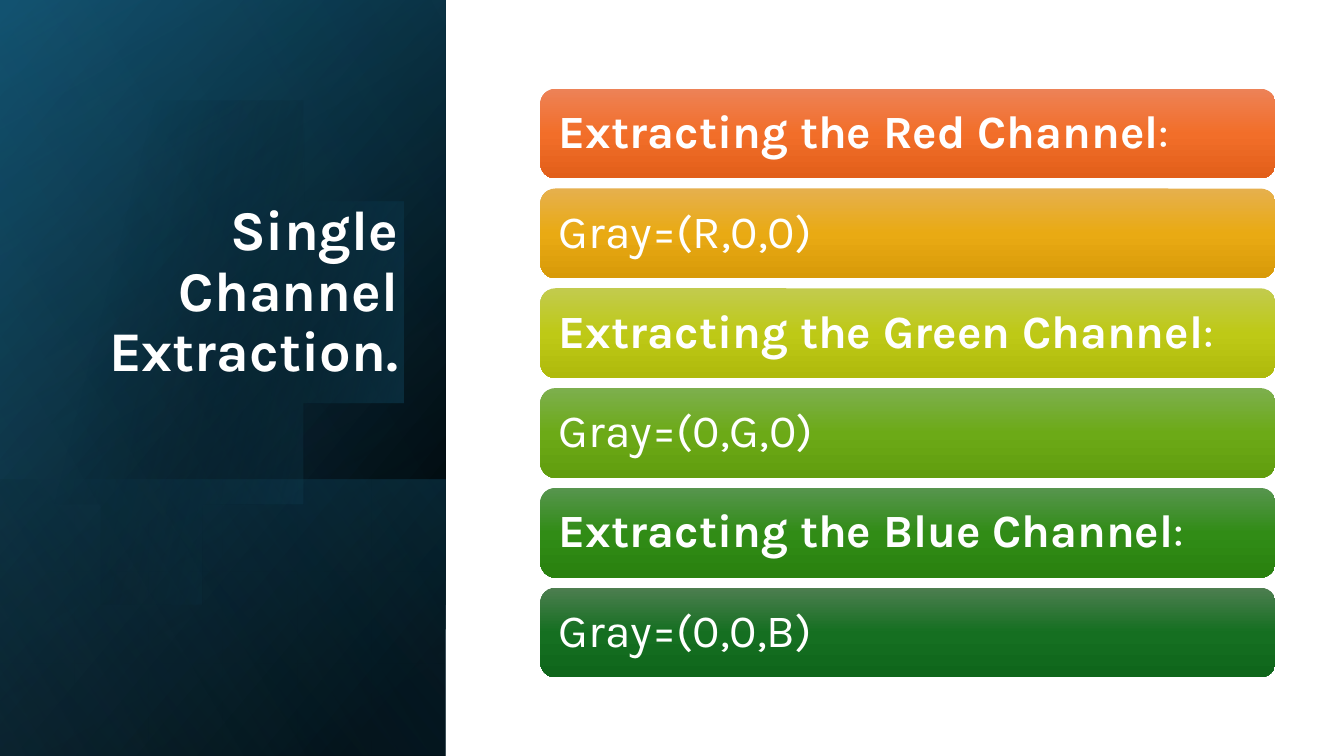
import math

import lxml.etree
import pptx
import pptx.dml.color
import pptx.enum.shapes
import pptx.enum.text
import pptx.oxml.ns
import pptx.util

W, H = 13.33, 7.5
PANEL_W = 4.42
FONT = "Karla"
WHITE = "FFFFFF"
TITLE = "Single Channel Extraction."

# Gradient stops are (position %, colour, opacity %)
BASE = [(8, "000000", 100), (100, "104862", 100)], 50
TINT = [(0, "000000", 0), (99, "156082", 46)], 30
FOOT = [(2, "156082", 29), (100, "000000", 30)], 130
DISC = [(29, "000000", 0), (100, "156082", 43)], 14
GLOW = [(0, "000000", 0), (99, "46B1E1", 11)], 120

# (bold text, regular text, top / middle / bottom colours)
BARS = [
    ("Extracting the Red Channel", ":", ("ED8257", "F26E29", "E25F1A")),
    ("", "Gray=(R,0,0)", ("E6B04E", "E9AA13", "D89A09")),
    ("Extracting the Green Channel", ":", ("C2CB4E", "BEC916", "AFBA0C")),
    ("", "Gray=(0,G,0)", ("7DAF4E", "6CAA17", "619D0E")),
    ("Extracting the Blue Channel", ":", ("57954E", "318C16", "29810F")),
    ("", "Gray=(0,0,B)", ("4D7E50", "156F21", "0F661B")),
]
BAR_X, BAR_Y, BAR_W, BAR_H = 5.36, 0.88, 7.29, 0.89
BAR_PITCH = 0.99

DISC_X, DISC_Y, DISC_R = 1.44, 3.37, 2.28

inch = pptx.util.Inches
SHAPE = pptx.enum.shapes.MSO_SHAPE
ANCHOR = pptx.enum.text.MSO_ANCHOR
ALIGN = pptx.enum.text.PP_ALIGN


def color(hex_code):
    return pptx.dml.color.RGBColor.from_string(hex_code)


def paint(s, stops, angle):
    """Give a shape a linear gradient (angle clockwise), no line, no shadow."""
    s.shadow.inherit = False
    s.line.fill.background()
    s.fill.background()
    qn = pptx.oxml.ns.qn
    sub = lxml.etree.SubElement
    sp_pr = s._element.spPr
    grad = lxml.etree.Element(qn("a:gradFill"), rotWithShape="1")
    gs_lst = sub(grad, qn("a:gsLst"))
    for pos, hex_code, opacity in stops:
        gs = sub(gs_lst, qn("a:gs"), pos=str(pos * 1000))
        clr = sub(gs, qn("a:srgbClr"), val=hex_code)
        if opacity < 100:
            sub(clr, qn("a:alpha"), val=str(opacity * 1000))
    sub(grad, qn("a:lin"), ang=str(angle * 60000), scaled="0")
    sp_pr.replace(sp_pr.find(qn("a:noFill")), grad)


def add_panel(shapes, top, fill):
    """Left panel from top to the slide's foot, as a mirrored, turned rectangle."""
    height = H - top
    s = shapes.add_shape(
        SHAPE.RECTANGLE, inch((PANEL_W - height) / 2),
        inch(top + (height - PANEL_W) / 2), inch(height), inch(PANEL_W))
    s.rotation = 90
    s._element.spPr.xfrm.set("flipH", "1")
    paint(s, *fill)


def add_disc(shapes):
    """Circle cut off at the slide's left edge."""
    limit = math.acos(-DISC_X / DISC_R)
    steps = 120
    angles = [limit * (2 * i / steps - 1) for i in range(steps + 1)]
    points = [(DISC_X + DISC_R * math.cos(a), DISC_Y + DISC_R * math.sin(a))
              for a in angles]
    fb = shapes.build_freeform(*points[0], scale=inch(1))
    fb.add_line_segments(points[1:], close=True)
    paint(fb.convert_to_shape(), *DISC)


def style(p, size, align):
    p.alignment = align
    p.line_spacing = 0.9
    p.font.name = FONT
    p.font.size = pptx.util.Pt(size)
    p.font.color.rgb = color(WHITE)


def add_title(shapes):
    s = shapes.title
    s.left, s.top, s.width, s.height = map(inch, (0.64, 1.84, 3.41, 2.62))
    tf = s.text_frame
    tf.word_wrap = True
    tf.auto_size = pptx.enum.text.MSO_AUTO_SIZE.NONE
    tf.vertical_anchor = ANCHOR.BOTTOM
    tf.margin_bottom = inch(0.65)
    p = tf.paragraphs[0]
    p.text = TITLE
    style(p, 40, ALIGN.RIGHT)
    p.font.bold = True
    shapes._spTree.append(s._element)


def add_bar(shapes, row, bold_text, text, colors):
    s = shapes.add_shape(SHAPE.ROUNDED_RECTANGLE, inch(BAR_X),
                         inch(BAR_Y + row * BAR_PITCH), inch(BAR_W), inch(BAR_H))
    paint(s, [(pos, c, 100) for pos, c in zip((0, 50, 100), colors)], 90)
    tf = s.text_frame
    tf.word_wrap = True
    tf.vertical_anchor = ANCHOR.MIDDLE
    tf.margin_left = tf.margin_right = inch(0.14)
    tf.margin_top = tf.margin_bottom = inch(0.14)
    p = tf.paragraphs[0]
    style(p, 33, ALIGN.LEFT)
    for part, bold in ((bold_text, True), (text, False)):
        if part:
            r = p.add_run()
            r.text = part
            r.font.bold = bold


def main():
    prs = pptx.Presentation()
    prs.slide_width, prs.slide_height = inch(W), inch(H)
    shapes = prs.slides.add_slide(prs.slide_layouts[5]).shapes
    for top, fill in ((0, BASE), (0, TINT), (4.76, FOOT)):
        add_panel(shapes, top, fill)
    add_disc(shapes)
    add_panel(shapes, 0, GLOW)
    add_title(shapes)
    for row, bar in enumerate(BARS):
        add_bar(shapes, row, *bar)
    prs.save("out.pptx")


if __name__ == "__main__":
    main()
